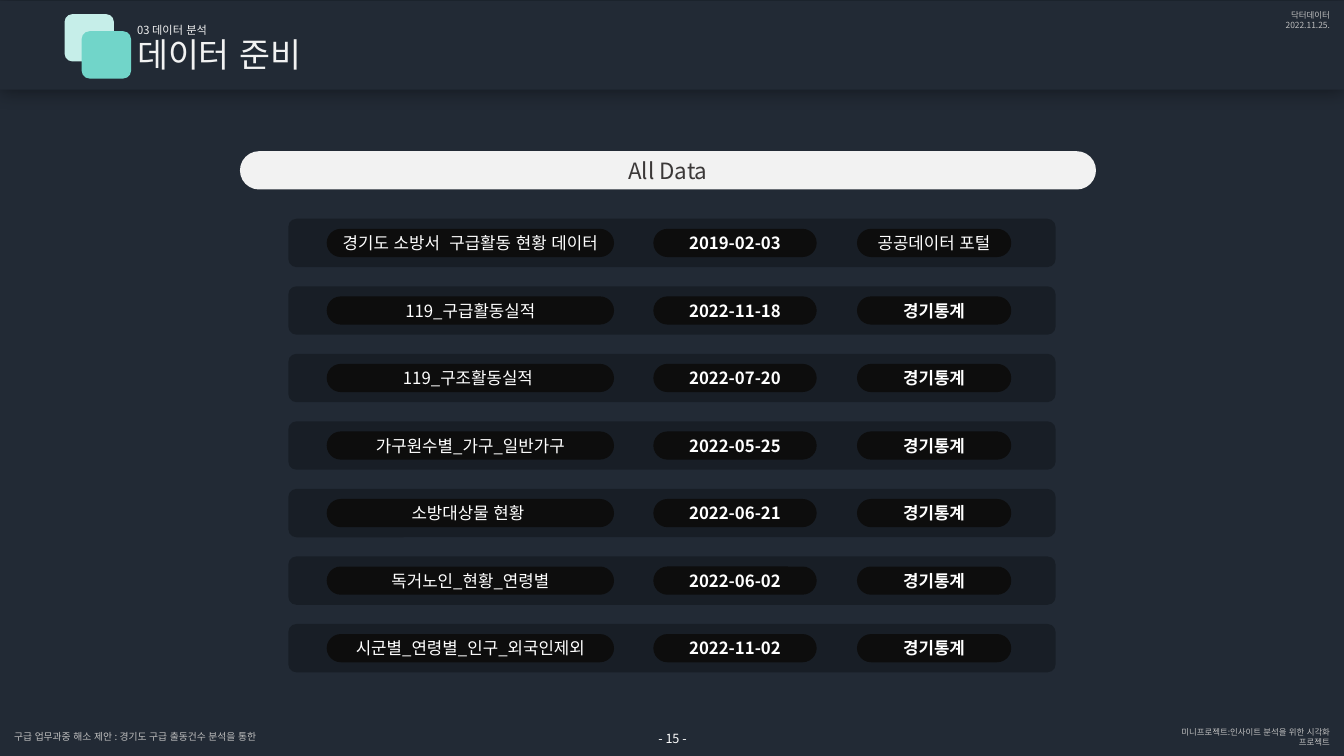
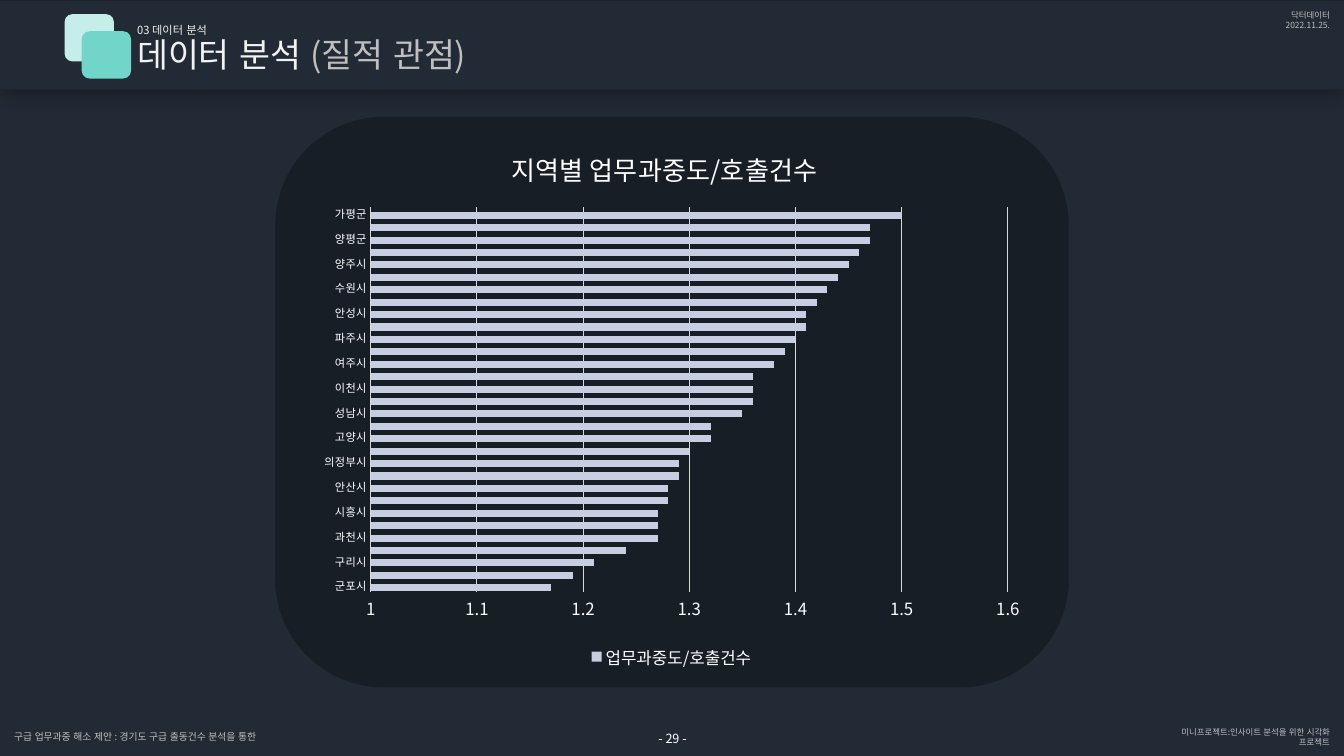
from lxml import etree
from pptx import Presentation
from pptx.chart.data import CategoryChartData
from pptx.dml.color import RGBColor
from pptx.enum.chart import XL_CHART_TYPE as CHART, XL_LEGEND_POSITION as LEGEND, XL_TICK_MARK as TICK
from pptx.enum.lang import MSO_LANGUAGE_ID as LANGUAGE
from pptx.enum.shapes import MSO_SHAPE as SHAPE
from pptx.enum.text import MSO_ANCHOR as ANCHOR, PP_ALIGN as ALIGN
from pptx.oxml import parse_xml
from pptx.oxml.ns import nsdecls, qn
from pptx.util import Inches, Pt

FONT = "Noto Sans CJK KR"
NAVY, PANEL, PILL = "222A35", "181E26", "0D0D0D"
WHITE, PALE, GREY, DARK = "FFFFFF", "F2F2F2", "BFBFBF", "3B3838"
MINT, TEAL, GRID = "C6EEE9", "71D5C9", "D9D9D9"
BARS = ["C7CEE1", "257E73", "C2F3E5"]


def paint(target, color):
    if hasattr(target, "solid"):
        target.solid()
        target.fore_color.rgb = RGBColor.from_string(color)
    else:
        target.color.rgb = RGBColor.from_string(color)


def add_box(page, place, lines=(), size=12, align=ALIGN.LEFT, shape=None, fill=None, radius=None, wrap=True):
    place = [Inches(length) for length in place]
    if shape is None:
        box = page.shapes.add_textbox(*place)
    else:
        box = page.shapes.add_shape(shape, *place)
        box.shadow.inherit = False
        paint(box.fill, fill)
        box.line.fill.background()
        if radius is not None:
            box.adjustments[0] = radius
    frame = box.text_frame
    frame.word_wrap = wrap
    frame.vertical_anchor = ANCHOR.MIDDLE
    frame.margin_left = frame.margin_right = frame.margin_top = frame.margin_bottom = 0
    for index, line in enumerate(lines):
        para = frame.add_paragraph() if index else frame.paragraphs[0]
        para.alignment = align
        for text, color, bold in line:
            span = para.add_run()
            span.text = text
            span.font.name = FONT
            span.font.size = Pt(size)
            span.font.bold = bold
            span.font.language_id = LANGUAGE.KOREAN
            span._r.get_or_add_rPr().set("kern", "0")
            paint(span.font, color)
    return box


deck = Presentation()
deck.slide_width, deck.slide_height = Inches(13.33), Inches(7.5)

headings = [
    (15, [("데이터 준비", PALE, False)]),
    (29, [("데이터 분석", PALE, False), (" (질적 관점)", GREY, False)]),
]
for number, heading in headings:
    page = deck.slides.add_slide(deck.slide_layouts[6])
    paint(page.background.fill, NAVY)
    band = add_box(page, (0, 0.01, 13.33, 0.88), shape=SHAPE.RECTANGLE, fill=NAVY)
    effects = band._element.spPr.find(qn("a:effectLst"))
    effects.append(parse_xml(
        f'<a:outerShdw {nsdecls("a")} blurRad="{Pt(14)}" dist="0" dir="0" algn="ctr" rotWithShape="0">'
        '<a:srgbClr val="000000"><a:alpha val="40000"/></a:srgbClr></a:outerShdw>'))
    add_box(page, (11.45, 7.26, 1.74, 0.1),
            [[("미니프로젝트:인사이트 분석을 위한 시각화 프로젝트", GREY, False)]], 6, ALIGN.RIGHT)
    add_box(page, (0.14, 7.25, 2.62, 0.12),
            [[("구급 업무과중 해소 제안 : 경기도 구급 출동건수 분석을 통한", GREY, False)]], 7)
    add_box(page, (11.45, 0.1, 1.74, 0.2),
            [[("닥터데이터", GREY, False)], [("2022.11.25.", GREY, False)]], 6, ALIGN.RIGHT)
    add_box(page, (0.64, 0.14, 0.49, 0.47), shape=SHAPE.ROUNDED_RECTANGLE, fill=MINT)
    add_box(page, (0.81, 0.31, 0.49, 0.47), shape=SHAPE.ROUNDED_RECTANGLE, fill=TEAL)
    add_box(page, (1.36, 0.34, 3.68, 0.4), [heading], 24)
    add_box(page, (1.36, 0.23, 3.68, 0.13), [[("03 데이터 분석", PALE, False)]], 8)
    add_box(page, (6.49, 7.25, 0.36, 0.15), [[(f"- {number} -", WHITE, False)]], 9, ALIGN.CENTER, wrap=False)

data_page, chart_page = deck.slides

add_box(data_page, (2.38, 1.5, 8.49, 0.38), [[("All Data", DARK, False)]], 16, ALIGN.CENTER,
        SHAPE.ROUNDED_RECTANGLE, PALE, 0.5)
sources = [
    ("경기도 소방서  구급활동 현황 데이터", "2019-02-03", "공공데이터 포털"),
    ("119_구급활동실적", "2022-11-18", "경기통계"),
    ("119_구조활동실적 ", "2022-07-20", "경기통계"),
    ("가구원수별_가구_일반가구", "2022-05-25", "경기통계"),
    ("소방대상물 현황 ", "2022-06-21", "경기통계"),
    ("독거노인_현황_연령별", "2022-06-02", "경기통계"),
    ("시군별_연령별_인구_외국인제외", "2022-11-02", "경기통계"),
]
columns = [(3.24, 2.85), (6.48, 1.62), (8.5, 1.53)]
for row, source in enumerate(sources):
    top = 2.17 + 0.67 * row
    add_box(data_page, (2.86, top, 7.61, 0.48), shape=SHAPE.FLOWCHART_ALTERNATE_PROCESS, fill=PANEL)
    for column, ((left, width), text) in enumerate(zip(columns, source)):
        bold = column == 1 or text == "경기통계"
        add_box(data_page, (left, top + 0.1, width, 0.28), [[(text, WHITE, bold)]], 12, ALIGN.CENTER,
                SHAPE.ROUNDED_RECTANGLE, PILL, 0.5)

add_box(chart_page, (2.73, 1.16, 7.87, 5.66), shape=SHAPE.ROUNDED_RECTANGLE, fill=PANEL, radius=0.19)
workloads = {
    "군포시": 1.17, "부천시": 1.19, "구리시": 1.21, "오산시": 1.24, "과천시": 1.27, "광명시": 1.27,
    "시흥시": 1.27, "김포시": 1.28, "안산시": 1.28, "안양시": 1.29, "의정부시": 1.29, "평택시": 1.3,
    "고양시": 1.32, "의왕시": 1.32, "성남시": 1.35, "동두천시": 1.36, "이천시": 1.36, "용인시": 1.36,
    "여주시": 1.38, "광주시": 1.39, "파주시": 1.4, "화성시": 1.41, "안성시": 1.41, "포천시": 1.42,
    "수원시": 1.43, "하남시": 1.44, "양주시": 1.45, "연천군": 1.46, "양평군": 1.47, "남양주시": 1.47,
    "가평군": 1.5,
}
measure = "업무과중도/호출건수"
chart_data = CategoryChartData()
chart_data.categories = list(workloads)
chart_data.add_series(measure, list(workloads.values()))
for name in ("Series 2", "열2"):
    chart_data.add_series(name, [None] * len(workloads))
chart = chart_page.shapes.add_chart(
    CHART.BAR_CLUSTERED, Inches(3.11), Inches(1.3), Inches(7.1), Inches(5.38), chart_data).chart
chart.font.name = FONT
chart.font.size = Pt(10)
paint(chart.font, WHITE)

chart.has_title = True
span = chart.chart_title.text_frame.paragraphs[0].add_run()
span.text = f"지역별 {measure}"
span.font.name = FONT
span.font.size = Pt(18.6)
span.font.bold = False
paint(span.font, WHITE)

chart.has_legend = True
chart.legend.position = LEGEND.BOTTOM
chart.legend.include_in_layout = False
for index in (1, 0):
    chart.legend._element.find(qn("c:legendPos")).addnext(parse_xml(
        f'<c:legendEntry {nsdecls("c")}><c:idx val="{index}"/><c:delete val="1"/></c:legendEntry>'))

plot = chart.plots[0]
plot.gap_width = 15
plot.overlap = 70
plot.vary_by_categories = False
for series, color in zip(plot.series, BARS):
    paint(series.format.fill, color)

region_axis, value_axis = chart.category_axis, chart.value_axis
for part, size in [(region_axis.tick_labels, 8), (value_axis.tick_labels, 12), (chart.legend, 12)]:
    part.font.name = FONT
    part.font.size = Pt(size)
    paint(part.font, WHITE)
for axis in (region_axis, value_axis):
    axis.major_tick_mark = axis.minor_tick_mark = TICK.NONE
region_axis.has_major_gridlines = False
value_axis.has_major_gridlines = True
for line in (region_axis.format.line, value_axis.major_gridlines.format.line):
    paint(line.fill, GRID)
    line.width = Pt(0.75)
value_axis.format.line.fill.background()
value_axis.minimum_scale, value_axis.maximum_scale, value_axis.major_unit = 1, 1.6, 0.1
value_axis.tick_labels.number_format = "General"
value_axis.tick_labels.number_format_is_linked = False

title_node = chart.chart_title._element
plot_node = chart._chartSpace.chart.plotArea
layouts = [
    (title_node, {"xMode": "edge", "yMode": "edge", "x": 0.27, "y": 0.02}),
    (plot_node, {"layoutTarget": "inner", "xMode": "edge", "yMode": "edge",
                 "x": 0.08, "y": 0.14, "w": 0.89, "h": 0.71}),
]
for node, settings in layouts:
    for old in node.findall(qn("c:layout")):
        node.remove(old)
    layout = etree.Element(qn("c:layout"))
    manual = etree.SubElement(layout, qn("c:manualLayout"))
    for name, value in settings.items():
        etree.SubElement(manual, qn(f"c:{name}")).set("val", str(value))
    node.insert(1 if node is title_node else 0, layout)

for root in (data_page._element, chart_page._element, chart._chartSpace):
    for latin in list(root.iter(qn("a:latin"))):
        east_asian = etree.Element(qn("a:ea"))
        east_asian.set("typeface", FONT)
        latin.addnext(east_asian)

deck.save("out.pptx")
